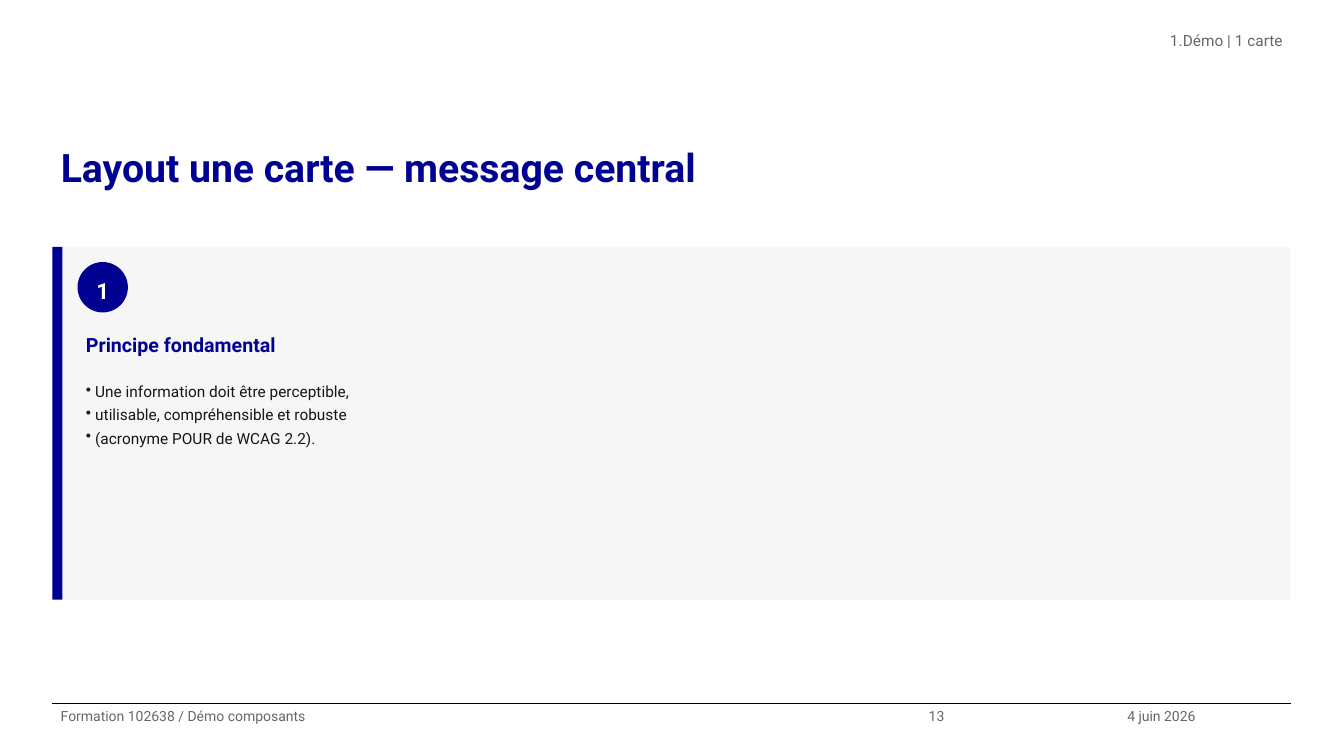
from lxml.etree import SubElement
from pptx import Presentation
from pptx.dml.color import RGBColor
from pptx.enum.shapes import MSO_CONNECTOR, MSO_SHAPE
from pptx.enum.text import MSO_ANCHOR, MSO_AUTO_SIZE, PP_ALIGN
from pptx.oxml.ns import qn
from pptx.util import Pt

COLORS = {
    "blue": "000091",
    "card": "F6F6F6",
    "ink": "161616",
    "grey": "666666",
    "white": "FFFFFF",
    "rule": "000000",
}
FONT = "Roboto"
LEFT, RIGHT = 37.4, 922.3
CARD_TOP, CARD_HEIGHT, STRIPE = 176.4, 252, 7.2
INNER_LEFT, INNER_WIDTH = 55.4, 855.4
FOOTER_TOP, FOOTER_HEIGHT = 502.6, 37.4


def color(name):
    return RGBColor.from_string(COLORS[name])


def add_bullet(paragraph, tag, indent, **attributes):
    properties = paragraph._p.get_or_add_pPr()
    properties.set("marL", str(Pt(indent)))
    properties.set("indent", str(-Pt(indent)))
    SubElement(properties, qn(f"a:{tag}"), **attributes)


def write(frame, text, size=11, fill="ink", bold=False, align=PP_ALIGN.LEFT,
          anchor=MSO_ANCHOR.TOP, inset=0, bullet=None):
    """Write one paragraph per line of text; bullet holds add_bullet arguments."""
    frame.word_wrap = True
    frame.auto_size = MSO_AUTO_SIZE.NONE
    frame.vertical_anchor = anchor
    frame.margin_left = frame.margin_right = Pt(6)
    frame.margin_top = frame.margin_bottom = Pt(inset)
    for index, line in enumerate(text.split("\n")):
        paragraph = frame.add_paragraph() if index else frame.paragraphs[0]
        paragraph.alignment = align
        paragraph.line_spacing = 1.25
        paragraph.space_before = Pt(0)
        if bullet:
            add_bullet(paragraph, **bullet)
        run = paragraph.add_run()
        run.text = line
        run.font.name = FONT
        run.font.size = Pt(size)
        run.font.bold = bold
        run.font.color.rgb = color(fill)


class SlideBuilder:
    def __init__(self, slide):
        self.slide = slide

    def title(self, text, left, top, width, height, **style):
        title = self.slide.shapes.title
        title.left, title.top = Pt(left), Pt(top)
        title.width, title.height = Pt(width), Pt(height)
        write(title.text_frame, text, **style)

    def text(self, text, left, top, width, height, **style):
        box = self.slide.shapes.add_textbox(Pt(left), Pt(top), Pt(width), Pt(height))
        write(box.text_frame, text, **style)

    def shape(self, kind, left, top, width, height, fill):
        shape = self.slide.shapes.add_shape(
            kind, Pt(left), Pt(top), Pt(width), Pt(height))
        shape.shadow.inherit = False
        shape.fill.solid()
        shape.fill.fore_color.rgb = color(fill)
        shape.line.fill.background()
        return shape

    def rule(self, left, right, y):
        rule = self.slide.shapes.add_connector(
            MSO_CONNECTOR.STRAIGHT, Pt(left), Pt(y), Pt(right), Pt(y))
        rule.line.color.rgb = color("rule")
        rule.line.width = Pt(0.8)
        SubElement(rule._element.spPr, qn("a:effectLst"))


def main():
    presentation = Presentation()
    presentation.slide_width, presentation.slide_height = Pt(960), Pt(540)
    title_only = presentation.slide_layouts[5]
    builder = SlideBuilder(presentation.slides.add_slide(title_only))

    # Header
    builder.title("Layout une carte — message central", LEFT, 94.3, RIGHT - LEFT, 75.6,
                  size=28, fill="blue", bold=True)
    builder.text("Démo | 1 carte", 347.8, 18.7, 574.5, 37.4, fill="grey",
                 align=PP_ALIGN.RIGHT,
                 bullet=dict(tag="buAutoNum", indent=8.64, type="arabicPeriod"))

    # Card with its stripe and number
    card_left = LEFT + STRIPE
    builder.shape(MSO_SHAPE.RECTANGLE, card_left, CARD_TOP, RIGHT - card_left - 0.7,
                  CARD_HEIGHT, "card")
    builder.shape(MSO_SHAPE.RECTANGLE, LEFT, CARD_TOP, STRIPE, CARD_HEIGHT, "blue")
    number = builder.shape(MSO_SHAPE.OVAL, INNER_LEFT, 187.2, 36, 36, "blue")
    write(number.text_frame, "1", size=16, fill="white", bold=True,
          align=PP_ALIGN.CENTER, anchor=MSO_ANCHOR.MIDDLE, inset=3.6)

    # Card message
    builder.text("Principe fondamental", INNER_LEFT, 230.4, INNER_WIDTH, 32.4,
                 size=14, fill="blue", bold=True, inset=3.6)
    builder.text("Une information doit être perceptible,\n"
                 "utilisable, compréhensible et robuste\n"
                 "(acronyme POUR de WCAG 2.2).",
                 INNER_LEFT, 266.4, INNER_WIDTH, 151.2, inset=3.6,
                 bullet=dict(tag="buChar", indent=6.6, char="•"))

    # Footer
    builder.rule(LEFT, RIGHT, FOOTER_TOP)
    for entry, left, right in (
        ("Formation 102638 / Démo composants", LEFT, 657.4),
        ("13", 657.4, 799.2),
        ("4 juin 2026", 799.2, RIGHT),
    ):
        builder.text(entry, left, FOOTER_TOP, right - left, FOOTER_HEIGHT,
                     size=10, fill="grey")

    presentation.save("out.pptx")


if __name__ == "__main__":
    main()
